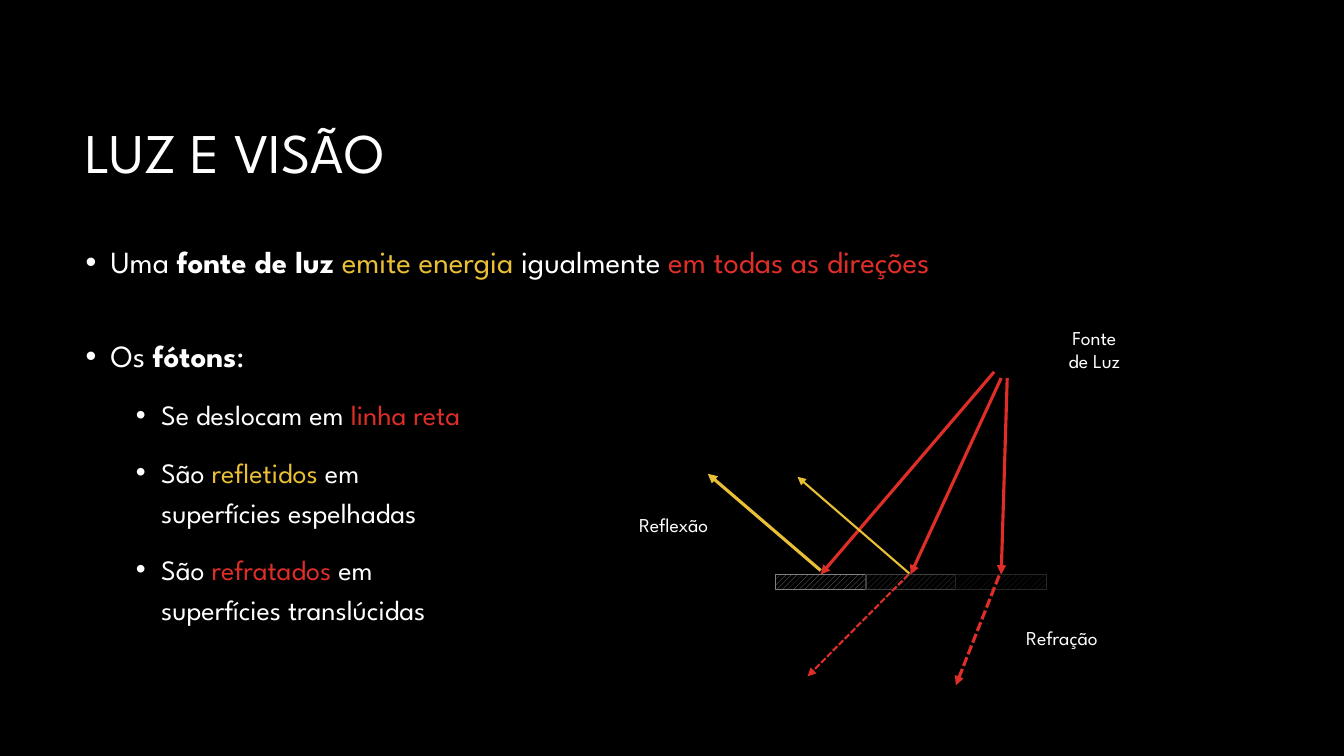
from dataclasses import dataclass

from lxml.etree import SubElement
from pptx import Presentation
from pptx.dml.color import RGBColor
from pptx.enum.dml import MSO_LINE, MSO_PATTERN
from pptx.enum.shapes import MSO_CONNECTOR, MSO_SHAPE
from pptx.enum.text import MSO_ANCHOR, PP_ALIGN
from pptx.oxml.ns import qn
from pptx.util import Inches, Pt


@dataclass(frozen=True)
class Theme:
    font: str = "League Spartan"
    black: str = "000000"
    white: str = "FFFFFF"
    yellow: str = "E9BF35"
    red: str = "DF2E28"
    surfaces: tuple = ("808080", "404040", "262626")
    title: int = 40
    body: int = 22
    detail: int = 20
    label: int = 14
    thick: float = 2.25
    thin: float = 1.5


THEME = Theme()


def color(code):
    return RGBColor.from_string(code)


def add_box(page, left, top, width, height, anchor=MSO_ANCHOR.TOP):
    box = page.shapes.add_textbox(Inches(left), Inches(top), Inches(width), Inches(height))
    box.text_frame.word_wrap = True
    box.text_frame.vertical_anchor = anchor
    return box.text_frame


def write(para, text, size, fill=THEME.white, bold=False):
    for number, line in enumerate(text.split("\n")):
        if number:
            para.add_line_break()
        span = para.add_run()
        span.text = line
        span.font.name = THEME.font
        span.font.size = Pt(size)
        span.font.bold = bold
        span.font.color.rgb = color(fill)


def add_bullet(para, indent):
    properties = para._p.get_or_add_pPr()
    properties.set("marL", str(Inches(indent)))
    properties.set("indent", str(Inches(-0.25)))
    SubElement(properties, qn("a:buFont"), typeface="Arial")
    SubElement(properties, qn("a:buChar"), char="•")


def add_points(page, points):
    frame = add_box(page, 0.75, 2.4, 11.83, 4.4)
    for number, (level, before, spans) in enumerate(points):
        para = frame.add_paragraph() if number else frame.paragraphs[0]
        para.level = level
        add_bullet(para, 0.75 if level else 0.25)
        para.line_spacing = 1.2 if level else 0.9
        para.space_before = Pt(before)
        for text, style in spans:
            write(para, text, THEME.detail if level else THEME.body, **style)


def add_label(page, text, left, top, width, height, align=PP_ALIGN.LEFT):
    para = add_box(page, left, top, width, height).paragraphs[0]
    para.alignment = align
    write(para, text, THEME.label)


def add_surface(page, left, shade):
    surface = page.shapes.add_shape(
        MSO_SHAPE.RECTANGLE, Inches(left), Inches(5.7), Inches(0.9), Inches(0.15))
    surface.shadow.inherit = False
    surface.fill.patterned()
    surface.fill.pattern = MSO_PATTERN.WIDE_UPWARD_DIAGONAL
    surface.fill.fore_color.rgb = color(shade)
    surface.fill.back_color.rgb = color(THEME.black)
    surface.line.color.rgb = color(shade)
    surface.line.width = Pt(1)


def add_ray(page, start, end, shade, width=THEME.thick, dashed=False):
    ray = page.shapes.add_connector(
        MSO_CONNECTOR.STRAIGHT, *(Inches(value) for value in start + end))
    ray.line.color.rgb = color(shade)
    ray.line.width = Pt(width)
    if dashed:
        ray.line.dash_style = MSO_LINE.SQUARE_DOT
    SubElement(ray.line._get_or_add_ln(), qn("a:tailEnd"), type="triangle")
    SubElement(ray._element.spPr, qn("a:effectLst"))


def add_diagram(page):
    light, mirror, translucent = THEME.surfaces
    add_surface(page, 7.69, light)
    for start, end in (
        ((9.93, 3.75), (9.03, 5.7)),
        ((9.99, 3.75), (9.93, 5.7)),
        ((9.86, 3.69), (8.14, 5.7)),
    ):
        add_ray(page, start, end, THEME.red)
    add_ray(page, (8.14, 5.66), (7.02, 4.7), THEME.yellow)
    add_ray(page, (9.02, 5.69), (7.91, 4.73), THEME.yellow, THEME.thin)
    add_surface(page, 8.59, mirror)
    add_surface(page, 9.48, translucent)
    add_ray(page, (9.01, 5.7), (8.01, 6.71), THEME.red, THEME.thin, dashed=True)
    add_ray(page, (9.91, 5.71), (9.48, 6.8), THEME.red, dashed=True)
    add_label(page, "Reflexão", 6.24, 5.04, 1.03, 0.34)
    add_label(page, "Refração", 10.08, 6.16, 1.09, 0.34)
    add_label(page, "Fonte\nde Luz", 10.45, 3.18, 0.81, 0.57, align=PP_ALIGN.CENTER)


def main():
    deck = Presentation()
    deck.slide_width, deck.slide_height = Inches(13.33), Inches(7.5)
    page = deck.slides.add_slide(deck.slide_layouts[6])
    page.background.fill.solid()
    page.background.fill.fore_color.rgb = color(THEME.black)

    title = add_box(page, 0.75, 0.84, 11.83, 1.41, MSO_ANCHOR.MIDDLE).paragraphs[0]
    title.line_spacing = 0.9
    write(title, "LUZ E VISÃO", THEME.title)

    plain, strong = {}, {"bold": True}
    yellow, red = {"fill": THEME.yellow}, {"fill": THEME.red}
    add_points(page, [
        (0, 0, [("Uma ", plain), ("fonte de luz ", strong), ("emite energia ", yellow),
                ("igualmente ", plain), ("em todas as direções", red)]),
        (0, 43.6, [("Os ", plain), ("fótons", strong), (":", plain)]),
        (1, 12, [("Se deslocam em ", plain), ("linha reta", red)]),
        (1, 12, [("São ", plain), ("refletidos", yellow),
                 (" em\nsuperfícies espelhadas", plain)]),
        (1, 12, [("São ", plain), ("refratados", red),
                 (" em\nsuperfícies translúcidas", plain)]),
    ])
    add_diagram(page)
    deck.save("out.pptx")


if __name__ == "__main__":
    main()
